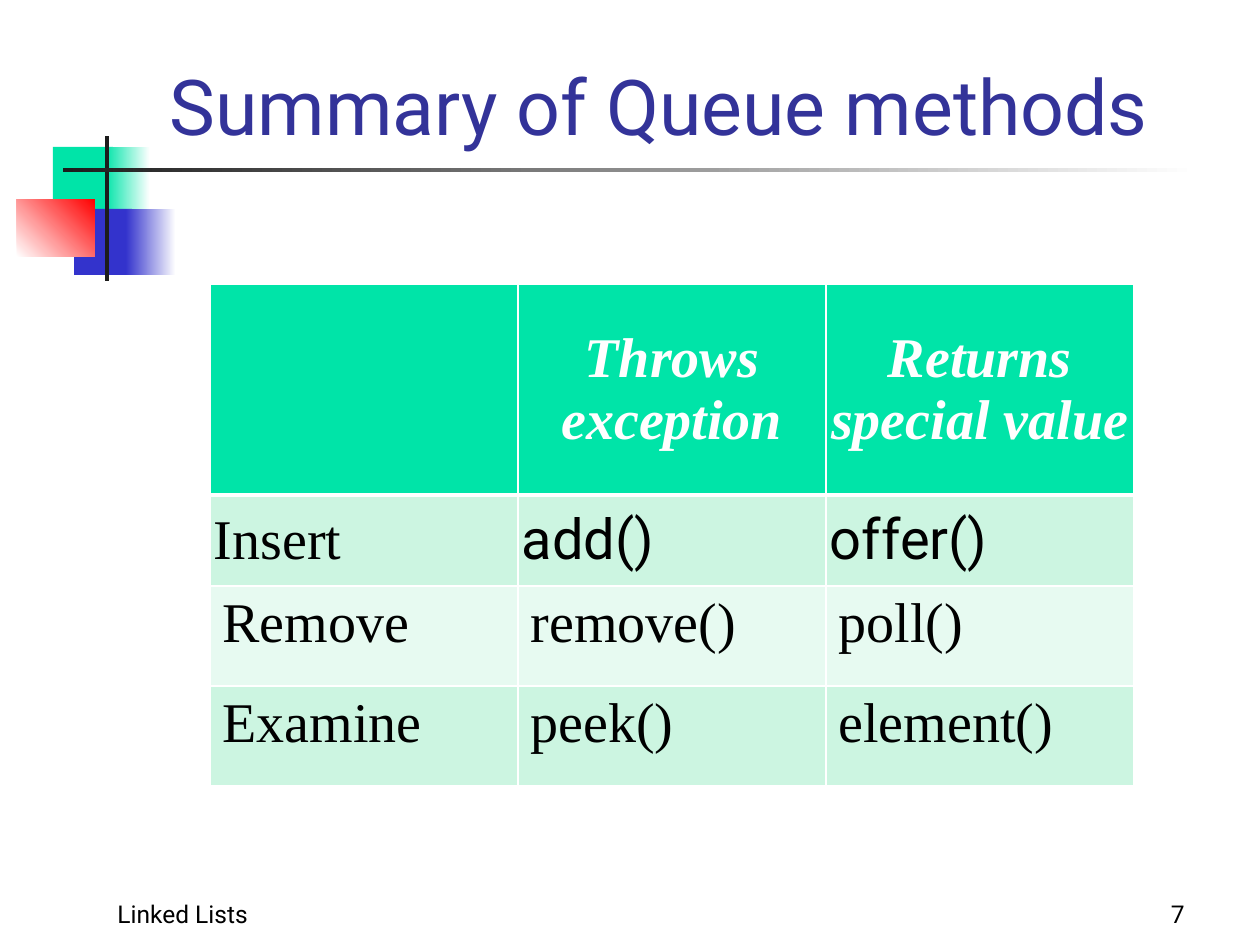
from lxml.etree import SubElement
from pptx import Presentation
from pptx.dml.color import RGBColor
from pptx.enum.shapes import MSO_SHAPE as Shape
from pptx.enum.text import MSO_ANCHOR as Anchor, MSO_AUTO_SIZE as AutoSize, PP_ALIGN as Align
from pptx.oxml.ns import qn
from pptx.util import Emu, Pt

SCALE = 914400 / 126
SANS, SERIF = "Roboto", "Times New Roman"
GREEN = RGBColor(0x00, 0xE4, 0xA8)
BLUE = RGBColor(0x33, 0x33, 0xCC)
RED = RGBColor(0xFF, 0x00, 0x00)
INDIGO = RGBColor(0x33, 0x33, 0x99)
CHARCOAL = RGBColor(0x1C, 0x1C, 0x1C)
BLACK = RGBColor(0x00, 0x00, 0x00)
WHITE = RGBColor(0xFF, 0xFF, 0xFF)
MINT = RGBColor(0xCC, 0xF5, 0xE1)
PALE_MINT = RGBColor(0xE7, 0xFA, 0xF1)

DECORATIONS = [
    ((53, 147, 60, 66), [GREEN], 0),
    ((105, 147, 45, 66), [GREEN, WHITE], 0),
    ((74, 209, 58, 66), [BLUE], 0),
    ((126, 209, 50, 66), [BLUE, WHITE], 0),
    ((17, 199, 78, 58), [WHITE, RED], 45),
    ((105, 136, 4, 145), [CHARCOAL], 0),
    ((63, 168, 1134, 4), [CHARCOAL, WHITE], 0),
]
METHODS = [
    ["", "Throws exception", "Returns special value"],
    ["Insert", "add()", "offer()"],
    ["Remove", "remove()", "poll()"],
    ["Examine", "peek()", "element()"],
]
COLUMN_WIDTH = 308
ROW_HEIGHTS = [211, 91, 100, 100]
ROW_FILLS = [GREEN, MINT, PALE_MINT, MINT]


def px(value):
    return Emu(round(value * SCALE))


def set_all(target, values):
    for name, value in values.items():
        setattr(target, name, value)


def write(frame, text, size, color, font=SANS, align=Align.LEFT, **styles):
    frame.word_wrap = True
    para = frame.paragraphs[0]
    para.alignment = align
    span = para.add_run()
    span.text = text
    set_all(span.font, {"name": font, "size": Pt(size), **styles})
    span.font.color.rgb = color


def add_block(page, bounds, colors, angle):
    block = page.shapes.add_shape(Shape.RECTANGLE, *map(px, bounds))
    block.shadow.inherit = False
    block.line.fill.background()
    if len(colors) == 1:
        block.fill.solid()
        block.fill.fore_color.rgb = colors[0]
        return
    block.fill.gradient()
    block.fill.gradient_angle = angle
    for position, (stop, color) in enumerate(zip(block.fill.gradient_stops, colors)):
        stop.position = position
        stop.color.rgb = color


def add_title(page, text):
    title = page.shapes.title
    left, top, width, height = map(px, (157, 0, 1074, 157))
    set_all(title, {"left": left, "top": top, "width": width, "height": height})
    set_all(title.text_frame, {"auto_size": AutoSize.NONE, "vertical_anchor": Anchor.BOTTOM})
    write(title.text_frame, text, 44, INDIGO)


def add_footer(page, bounds, text, align):
    box = page.shapes.add_textbox(*map(px, bounds))
    box.text_frame.vertical_anchor = Anchor.BOTTOM
    write(box.text_frame, text, 14, BLACK, align=align)


def add_borders(cell, top, bottom):
    properties = cell._tc.get_or_add_tcPr()
    for side, points in {"L": 1, "R": 1, "T": top, "B": bottom}.items():
        line = SubElement(properties, qn(f"a:ln{side}"), w=str(Pt(points)))
        fill = SubElement(line, qn("a:solidFill"))
        SubElement(fill, qn("a:srgbClr"), val=str(WHITE))


def format_cell(cell, text, row, column):
    add_borders(cell, top=3 if row == 1 else 1, bottom=3 if row == 0 else 1)
    cell.fill.solid()
    cell.fill.fore_color.rgb = ROW_FILLS[row]
    if row < 2:
        sides = ("left", "right", "top", "bottom")
        set_all(cell, {f"margin_{side}": px(4) for side in sides})
        cell.vertical_anchor = Anchor.MIDDLE
    if not text:
        return
    header = row == 0
    write(
        cell.text_frame,
        text,
        32,
        WHITE if header else BLACK,
        font=SANS if row == 1 and column > 0 else SERIF,
        align=Align.CENTER if header else Align.LEFT,
        bold=header,
        italic=header,
    )


def add_methods_table(page):
    columns = len(METHODS[0])
    bounds = (210, 284, COLUMN_WIDTH * columns, sum(ROW_HEIGHTS))
    table = page.shapes.add_table(len(METHODS), columns, *map(px, bounds)).table
    for column in table.columns:
        column.width = px(COLUMN_WIDTH)
    for row, texts in enumerate(METHODS):
        table.rows[row].height = px(ROW_HEIGHTS[row])
        for column, text in enumerate(texts):
            format_cell(table.cell(row, column), text, row, column)


def main():
    deck = Presentation()
    set_all(deck, {"slide_width": px(1260), "slide_height": px(945)})
    page = deck.slides.add_slide(deck.slide_layouts[5])
    for bounds, colors, angle in DECORATIONS:
        add_block(page, bounds, colors, angle)
    add_title(page, "Summary of Queue methods")
    add_footer(page, (105, 872, 546, 63), "Linked Lists", Align.LEFT)
    add_footer(page, (935, 872, 262, 63), "7", Align.RIGHT)
    add_methods_table(page)
    deck.save("out.pptx")


if __name__ == "__main__":
    main()
